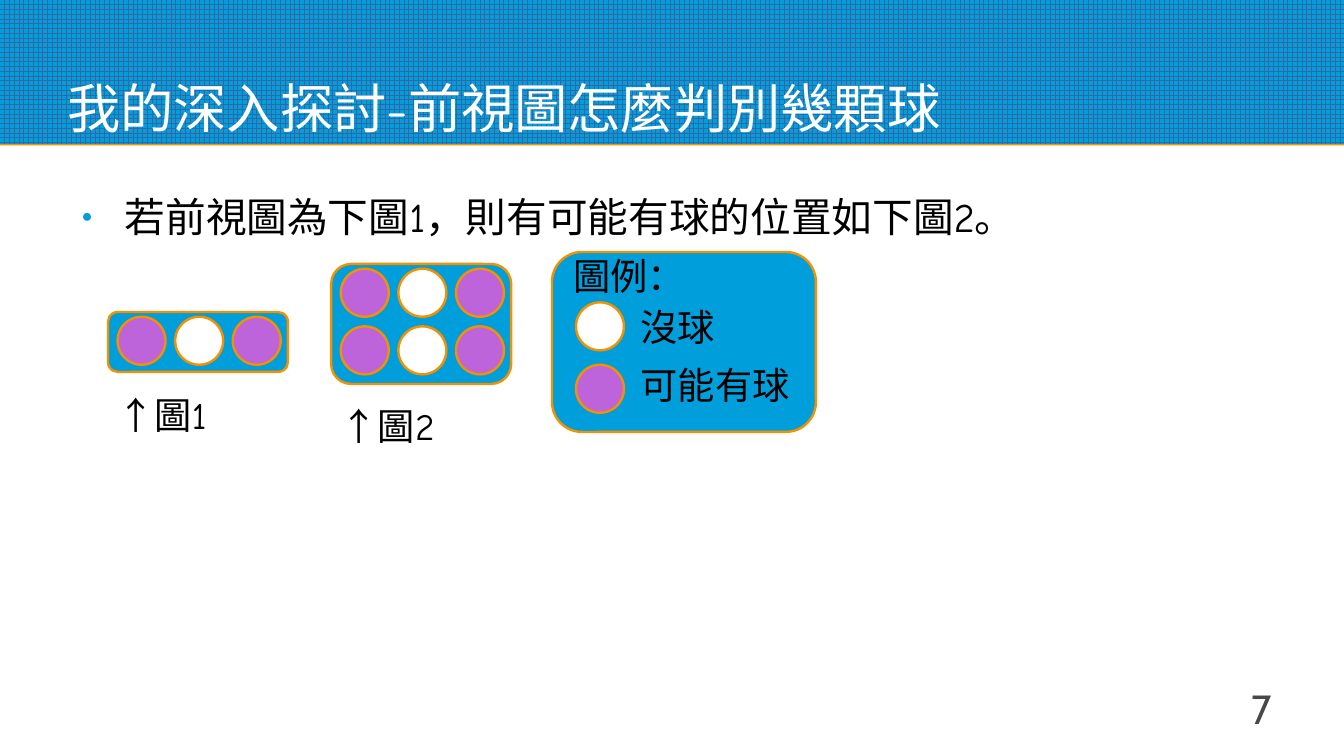
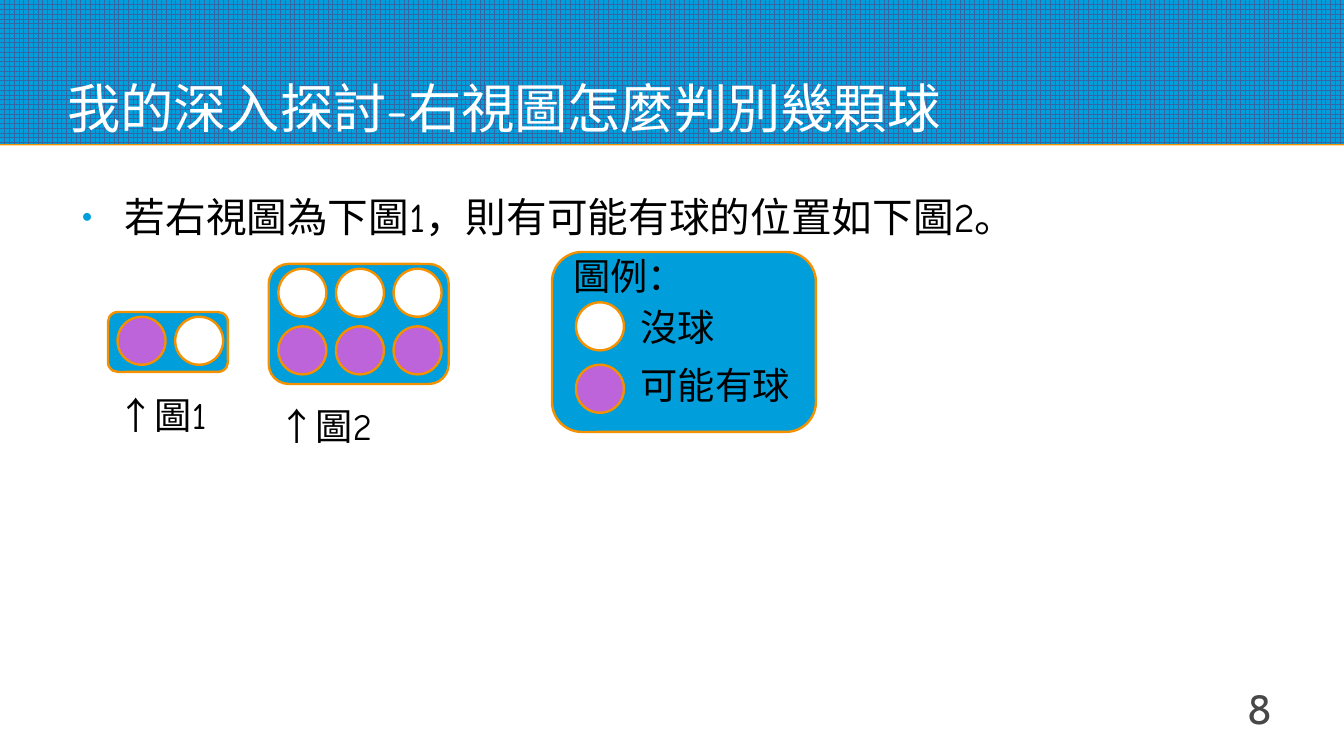
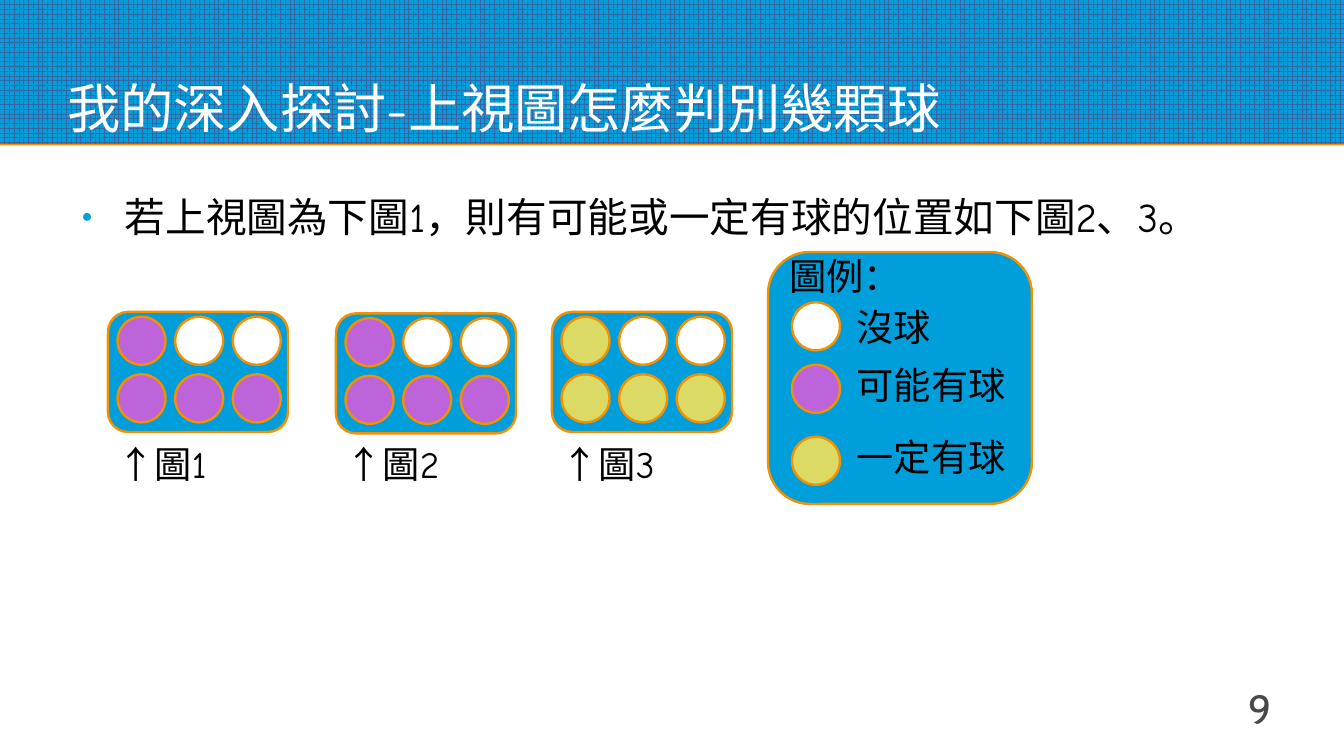
from pptx import Presentation
from pptx.dml.color import RGBColor as Color
from pptx.enum.dml import MSO_PATTERN as Pattern
from pptx.enum.shapes import MSO_SHAPE as Shape
from pptx.enum.text import MSO_ANCHOR as Anchor, MSO_AUTO_SIZE as Fit, PP_ALIGN as Align
from pptx.oxml import parse_xml
from pptx.oxml.ns import nsdecls
from pptx.util import Cm, Pt

COLUMNS, ROWS = 28, 15.75
BALL, PITCH, CELL = 1, 1.2, 1.25
COLORS = {
    "blue": "009EDA", "grid": "3465A4", "orange": "F49100",
    "ink": "000000", "paper": "FFFFFF", "number": "484848",
}
BALLS = {"o": "FFFFFF", "?": "BD64DA", "!": "DADA64"}
PLAIN, ROUNDED, CJK = "Cabin", "Comic Neue", "Noto Sans CJK SC"
LEGEND = {
    "o": ("沒球", 1.05, 0.9),
    "?": ("可能有球", 2.35, 2.1),
    "!": ("一定有球", 3.85, 3.6),
}


def color(name):
    return Color.from_string(COLORS.get(name, name))


def apply(target, values):
    for name, value in values.items():
        setattr(target, name, value)


class BallDeck:
    def __init__(self):
        self.deck = Presentation()
        apply(self.deck, {"slide_width": Cm(COLUMNS), "slide_height": Cm(ROWS)})
        self.layout = self.deck.slide_layouts[1]
        self.page = None

    def place(self, left, top, width, height):
        column, row = self.deck.slide_width / COLUMNS, self.deck.slide_height / ROWS
        return [round(size) for size in (left * column, top * row, width * column, height * row)]

    def add_xml(self, parent, markup):
        for item in parse_xml(f"<a:list {nsdecls('a')}>{markup}</a:list>"):
            parent.append(item)

    def add_page(self, title, statement, number):
        self.page = self.deck.slides.add_slide(self.layout)
        if number == FIRST_NUMBER:
            self.band()
        self.title(title)
        self.bullet(statement)
        self.text((20, 14.25, 6.5, 1.25), [(str(number), PLAIN)], 24, "number",
                  align=Align.RIGHT, anchor=Anchor.TOP, inset=0, fit=Fit.NONE)

    def band(self):
        band = self.page.shapes.add_shape(Shape.RECTANGLE, *self.place(0, 0, COLUMNS, 3))
        band.line.fill.background()
        band.fill.patterned()
        band.fill.pattern = Pattern.LARGE_GRID
        band.fill.fore_color.rgb = color("grid")
        band.fill.back_color.rgb = color("blue")
        band.shadow.inherit = False
        effects = band.element.spPr.find("{*}effectLst")
        self.add_xml(effects, f'<a:outerShdw dist="{Pt(0.9)}" dir="5400000" rotWithShape="0">'
                              f'<a:srgbClr val="{COLORS["orange"]}"/></a:outerShdw>')
        self.layout.shapes.element.insert(2, band.element)

    def set_text(self, box, runs, size, ink, align=Align.LEFT, anchor=Anchor.MIDDLE,
                 inset=0.1, fit=Fit.SHAPE_TO_FIT_TEXT, wrap=True, after=0):
        frame = box.text_frame
        apply(frame, {"word_wrap": wrap, "auto_size": fit, "vertical_anchor": anchor})
        apply(frame, {f"margin_{side}": Cm(inset) for side in ("left", "top", "right", "bottom")})
        para = frame.paragraphs[0]
        apply(para, {"alignment": align, "space_before": Pt(0), "space_after": Pt(after)})
        for words, font in runs:
            span = para.add_run()
            span.text = words
            apply(span.font, {"size": Pt(size), "name": font})
            span.font.color.rgb = color(ink)
            self.add_xml(span._r.get_or_add_rPr(), f'<a:ea typeface="{CJK}"/>')
        return para

    def text(self, spot, runs, size=22, ink="ink", **style):
        self.set_text(self.page.shapes.add_textbox(*self.place(*spot)), runs, size, ink, **style)

    def fill_placeholder(self, box, spot, words, size, ink, **style):
        apply(box, dict(zip(("left", "top", "width", "height"), self.place(*spot))))
        return self.set_text(box, [(words, ROUNDED)], size, ink, inset=0, fit=Fit.NONE, **style)

    def title(self, words):
        self.fill_placeholder(self.page.shapes.title, (1.4, 0.25, 25.2, 2.65),
                              words, 31.5, "paper", anchor=Anchor.BOTTOM)

    def bullet(self, words):
        para = self.fill_placeholder(self.page.placeholders[1], (1.4, 4, 25.06, 9.72),
                                     words, 24, "ink", anchor=Anchor.TOP, after=10.5)
        layout = para._p.get_or_add_pPr()
        layout.set("marL", str(Cm(1.2)))
        layout.set("indent", str(Cm(-0.9)))
        self.add_xml(layout, f'<a:buClr><a:srgbClr val="{COLORS["blue"]}"/></a:buClr>'
                             '<a:buSzPct val="45000"/><a:buChar char="●"/>')

    def outlined(self, kind, spot, fill):
        shape = self.page.shapes.add_shape(kind, *self.place(*spot))
        shape.shadow.inherit = False
        shape.fill.solid()
        shape.fill.fore_color.rgb = color(fill)
        shape.line.color.rgb = color("orange")
        shape.line.width = Pt(1.42)

    def ball(self, left, top, kind):
        self.outlined(Shape.OVAL, (left, top, BALL, BALL), BALLS[kind])

    def board(self, number, left, top, lines, label_top):
        size = len(lines[0]) * CELL, len(lines) * CELL
        self.outlined(Shape.ROUNDED_RECTANGLE, (left, top, *size), "blue")
        for row, line in enumerate(lines):
            for column, kind in enumerate(line):
                self.ball(left + 0.2 + column * PITCH, top + 0.1 + row * PITCH, kind)
        self.text((left + 0.1, label_top, 4, 1.32), [("↑圖", CJK), (str(number), ROUNDED)])

    def legend(self, left, height, kinds):
        top = 5.25
        self.outlined(Shape.ROUNDED_RECTANGLE, (left, top, 5.5, height), "blue")
        self.text((left + 0.35, top - 0.17, 2.52, 1.32), [("圖例：", CJK)])
        for kind in kinds:
            words, ball_top, text_top = LEGEND[kind]
            self.ball(left + 0.5, top + ball_top, kind)
            self.text((left + 1.75, top + text_top, 0.2 + 0.78 * len(words), 1.32),
                      [(words, CJK)], wrap=False)


FIRST_NUMBER = 7
PAGES = [
    ("前", "則有可能有球的位置如下圖2。", (11.5, 3.75, "o?"),
     [(2.25, 6.5, ["?o?"], 7.97), (6.9, 5.5, ["?o?", "?o?"], 8.2)]),
    ("右", "則有可能有球的位置如下圖2。", (11.5, 3.75, "o?"),
     [(2.25, 6.5, ["?o"], 7.97), (5.6, 5.5, ["ooo", "???"], 8.2)]),
    ("上", "則有可能或一定有球的位置如下圖2、3。", (16, 5.25, "o?!"),
     [(2.25, 6.5, ["?oo", "???"], 9), (7, 6.53, ["?oo", "???"], 9),
      (11.5, 6.5, ["!oo", "!!!"], 9)]),
]


def main():
    show = BallDeck()
    for number, (view, result, legend, boards) in enumerate(PAGES, FIRST_NUMBER):
        show.add_page(f"我的深入探討-{view}視圖怎麼判別幾顆球",
                      f"若{view}視圖為下圖1，{result}", number)
        for index, board in enumerate(boards, 1):
            show.board(index, *board)
        show.legend(*legend)
    show.deck.save("out.pptx")


if __name__ == "__main__":
    main()
